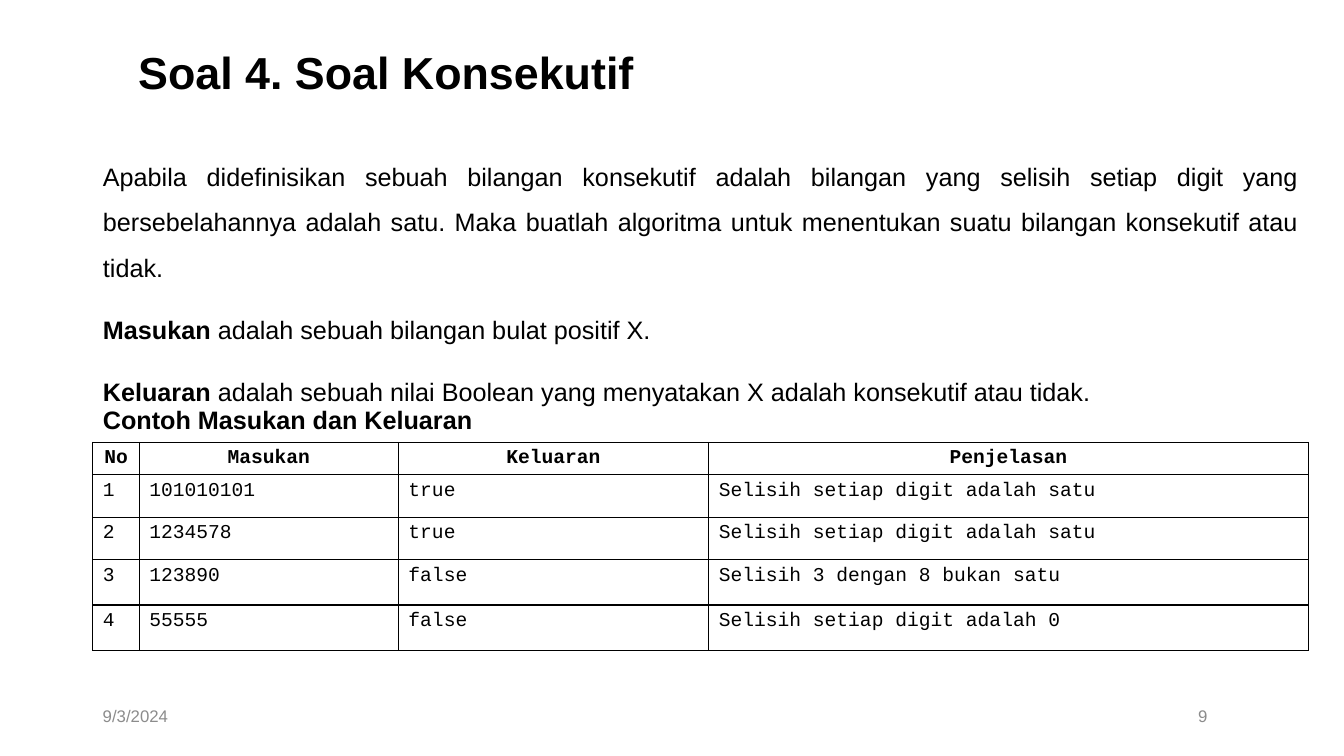
from pptx import Presentation
from pptx.dml.color import RGBColor
from pptx.enum.text import MSO_ANCHOR as Anchor, MSO_AUTO_SIZE as AutoSize, PP_ALIGN as Align
from pptx.oxml.ns import qn
from pptx.util import Cm, Pt
from lxml.etree import SubElement

BLACK = RGBColor(0x00, 0x00, 0x00)
GRAY = RGBColor(0x8C, 0x8C, 0x8C)
SANS = "Arial"
MONO = "Courier New"

MARGIN = 2.34
CONTENT_WIDTH = 30.63

QUESTION = [
    [("Apabila didefinisikan sebuah bilangan konsekutif adalah bilangan yang selisih "
      "setiap digit yang bersebelahannya adalah satu. Maka buatlah algoritma untuk "
      "menentukan suatu bilangan konsekutif atau tidak.", False)],
    [("Masukan ", True), ("adalah sebuah bilangan bulat positif X.", False)],
    [("Keluaran ", True),
     ("adalah sebuah nilai Boolean yang menyatakan X adalah konsekutif atau tidak.", False)],
]
EXAMPLE_HEADING = [[("Contoh Masukan dan Keluaran", True)]]
EXAMPLES = [
    ("No", "Masukan", "Keluaran", "Penjelasan"),
    ("1", "101010101", "true", "Selisih setiap digit adalah satu"),
    ("2", "1234578", "true", "Selisih setiap digit adalah satu"),
    ("3", "123890", "false", "Selisih 3 dengan 8 bukan satu"),
    ("4", "55555", "false", "Selisih setiap digit adalah 0"),
]
COLUMN_WIDTHS = [1.17, 6.53, 7.82, 15.11]
ROW_HEIGHTS = [0.76, 1.07, 1.07, 1.14, 1.14]


def add_run(paragraph, text, size, font=SANS, bold=False, color=BLACK):
    run = paragraph.add_run()
    run.text = text
    run.font.name = font
    run.font.size = Pt(size)
    run.font.bold = bold
    run.font.color.rgb = color


def place(shape, left, top, width, height):
    shape.left, shape.top = Cm(left), Cm(top)
    shape.width, shape.height = Cm(width), Cm(height)
    shape.text_frame.word_wrap = True
    shape.text_frame.auto_size = AutoSize.NONE


def fill_title(shape, text, box):
    place(shape, *box)
    shape.text_frame.vertical_anchor = Anchor.MIDDLE
    paragraph = shape.text_frame.paragraphs[0]
    paragraph.alignment = Align.LEFT
    paragraph.line_spacing = 0.9
    add_run(paragraph, text, 32, bold=True)


def fill_body(shape, paragraphs, box):
    place(shape, *box)
    frame = shape.text_frame
    frame.vertical_anchor = Anchor.TOP
    for index, runs in enumerate(paragraphs):
        paragraph = frame.add_paragraph() if index else frame.paragraphs[0]
        paragraph.alignment = Align.JUSTIFY
        paragraph.line_spacing = 1.5
        paragraph.space_before = paragraph.space_after = Pt(6)
        properties = paragraph._p.get_or_add_pPr()
        properties.set("marL", "0")
        properties.set("indent", "0")
        SubElement(properties, qn("a:buNone"))
        for text, bold in runs:
            add_run(paragraph, text, 18, bold=bold)


def add_borders(cell):
    properties = cell._tc.get_or_add_tcPr()
    for side in ("a:lnL", "a:lnR", "a:lnT", "a:lnB"):
        line = SubElement(properties, qn(side), w=str(Pt(1)))
        fill = SubElement(line, qn("a:solidFill"))
        SubElement(fill, qn("a:srgbClr"), val=str(BLACK))


def add_examples(slide, box):
    left, top, width, height = map(Cm, box)
    table = slide.shapes.add_table(
        len(EXAMPLES), len(COLUMN_WIDTHS), left, top, width, height).table
    table.horz_banding = False
    for column, column_width in zip(table.columns, COLUMN_WIDTHS):
        column.width = Cm(column_width)
    for row_index, (row, values) in enumerate(zip(table.rows, EXAMPLES)):
        row.height = Cm(ROW_HEIGHTS[row_index])
        is_header = row_index == 0
        for cell, value in zip(row.cells, values):
            add_borders(cell)
            cell.fill.background()
            paragraph = cell.text_frame.paragraphs[0]
            paragraph.alignment = Align.CENTER if is_header else Align.LEFT
            add_run(paragraph, value, 14, MONO, is_header)


def add_footer_text(slide, text, alignment, box):
    shape = slide.shapes.add_textbox(*map(Cm, box))
    place(shape, *box)
    shape.text_frame.vertical_anchor = Anchor.MIDDLE
    paragraph = shape.text_frame.paragraphs[0]
    paragraph.alignment = alignment
    add_run(paragraph, text, 12, color=GRAY)


def add_question_slide(presentation):
    slide = presentation.slides.add_slide(presentation.slide_layouts[3])
    title, question, heading = slide.placeholders
    fill_title(title, "Soal 4. Soal Konsekutif", (3.23, 1.02, 24.99, 1.73))
    fill_body(question, QUESTION, (MARGIN, 3.56, CONTENT_WIDTH, 5.97))
    fill_body(heading, EXAMPLE_HEADING, (MARGIN, 9.68, CONTENT_WIDTH, 1.32))
    add_examples(slide, (MARGIN, 11.15, CONTENT_WIDTH, sum(ROW_HEIGHTS)))
    add_footer_text(slide, "9/3/2024", Align.LEFT, (MARGIN, 17.53, 3.73, 1.02))
    add_footer_text(slide, "9", Align.RIGHT, (6.17, 17.53, 24.51, 1.02))


def main():
    presentation = Presentation()
    presentation.slide_width = Cm(33.87)
    presentation.slide_height = Cm(19.05)
    add_question_slide(presentation)
    presentation.save("out.pptx")


if __name__ == "__main__":
    main()
